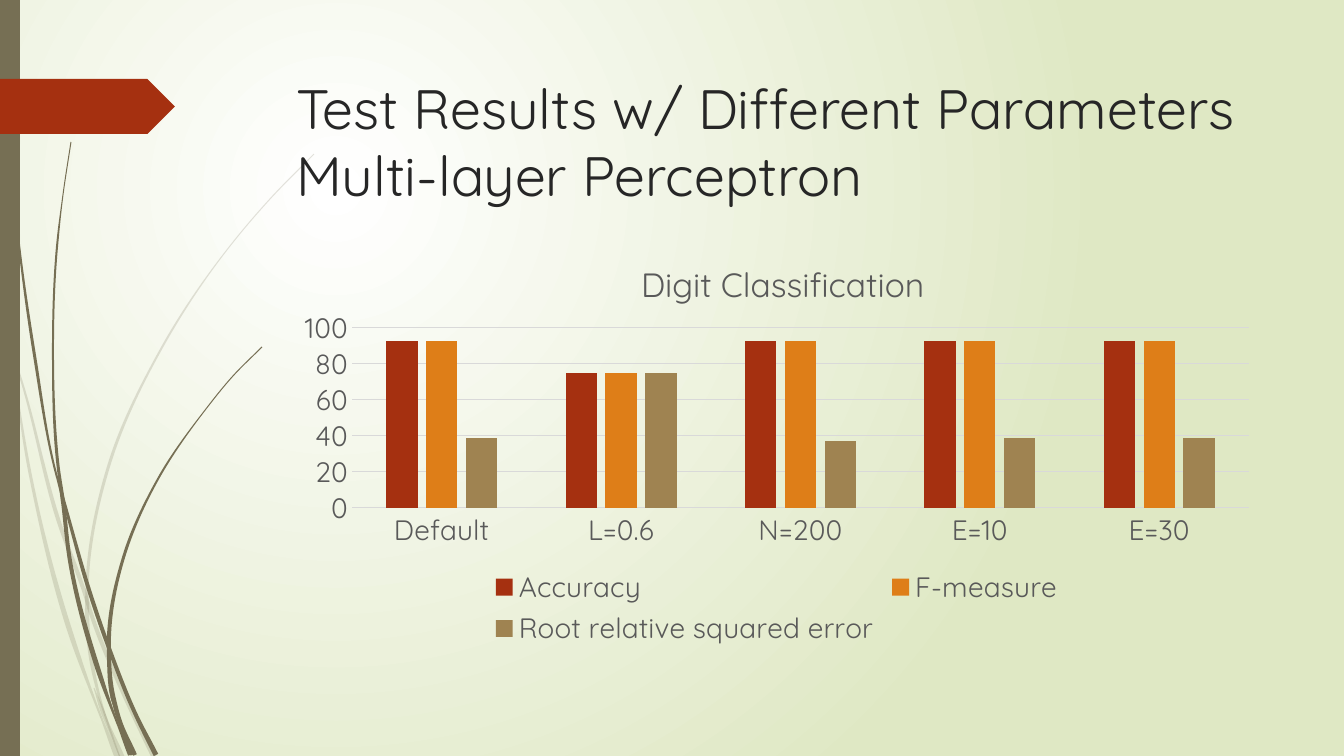
from dataclasses import dataclass
from itertools import pairwise
from math import hypot

from lxml.etree import SubElement
from pptx import Presentation
from pptx.chart.data import CategoryChartData
from pptx.dml.color import RGBColor
from pptx.enum.chart import XL_CHART_TYPE, XL_LEGEND_POSITION, XL_TICK_MARK
from pptx.enum.shapes import MSO_SHAPE
from pptx.enum.text import MSO_ANCHOR, MSO_AUTO_SIZE, PP_ALIGN
from pptx.oxml import parse_xml
from pptx.oxml.ns import nsdecls, qn
from pptx.util import Pt

EMU_PER_PX = 12192000 / 1344


@dataclass(frozen=True)
class Theme:
    font: str = "Quicksand"
    title_size: float = 39.6
    chart_title_size: float = 24
    label_size: float = 20
    title: str = "262626"
    label: str = "595959"
    grid: str = "D9D9D9"
    stem: str = "766F54"
    accent: str = "A53010"
    series: tuple = ("A53010", "DE7E18", "9F8351")
    background: tuple = ("FFFFFF", "DFE8C4")


def px(n):
    return round(n * EMU_PER_PX)


def rgb(value):
    return RGBColor.from_string(value)


def directions(points):
    steps = [(b[0] - a[0], b[1] - a[1]) for a, b in pairwise(points)]
    steps = [steps[0], *steps, steps[-1]]
    result = []
    for (ax, ay), (bx, by) in pairwise(steps):
        la, lb = hypot(ax, ay), hypot(bx, by)
        dx, dy = ax / la * lb + bx / lb * la, ay / la * lb + by / lb * la
        length = hypot(dx, dy)
        result.append((dx / length, dy / length))
    return result


def curve_handles(a, b, da, db):
    reach = hypot(b[0] - a[0], b[1] - a[1]) / 3
    return ((a[0] + da[0] * reach, a[1] + da[1] * reach),
            (b[0] - db[0] * reach, b[1] - db[1] * reach))


class SlideBuilder:
    def __init__(self, prs, theme):
        self.theme = theme
        self.slide = prs.slides.add_slide(prs.slide_layouts[5])
        self.shapes = self.slide.shapes

    def background(self):
        fill = self.slide.background.fill
        fill.gradient()
        for stop, color in zip(fill.gradient_stops, self.theme.background):
            stop.color.rgb = rgb(color)
        grad = self.slide.element.find(".//" + qn("a:gradFill"))
        grad.replace(grad.find(qn("a:lin")), parse_xml(
            f'<a:path {nsdecls("a")} path="circle">'
            '<a:fillToRect l="50000" t="50000" r="100000" b="100000"/></a:path>'))

    def paint(self, sp, color, opacity=100):
        sp.shadow.inherit = False
        sp.fill.solid()
        sp.fill.fore_color.rgb = rgb(color)
        sp.line.fill.background()
        if opacity < 100:
            node = sp.element.spPr.find(".//" + qn("a:srgbClr"))
            SubElement(node, qn("a:alpha"), val=str(opacity * 1000))

    def shape(self, kind, box, color):
        self.paint(self.shapes.add_shape(kind, *map(px, box)), color)

    def stem(self, points, cuts, opacity):
        dirs = directions(points)
        left, right = ([(x + side * dy * w / 2, y - side * dx * w / 2)
                        for (x, y, w), (dx, dy) in zip(points, dirs)]
                       for side in (1, -1))
        for first, last in pairwise((0, *cuts, len(points) - 1)):
            part = slice(first, last + 1)
            back = [(-dx, -dy) for dx, dy in dirs[part]][::-1]
            sides = ((left[part], dirs[part]), (right[part][::-1], back))
            self.stem_piece(sides, opacity)

    def stem_piece(self, sides, opacity):
        outline, curves = [], []
        for edge, dirs in sides:
            outline += edge
            curves.append(None)
            curves += [curve_handles(a, b, da, db) for (a, b), (da, db)
                       in zip(pairwise(edge), pairwise(dirs))]
        start, *rest = [(px(x), px(y)) for x, y in outline]
        fb = self.shapes.build_freeform(*start, scale=1.0)
        fb.add_line_segments(rest, close=True)
        sp = fb.convert_to_shape()
        lines = list(sp.element.iter(qn("a:lnTo")))
        for line, handles in zip(lines, curves[1:]):
            if handles:
                line.tag = qn("a:cubicBezTo")
                for i, (x, y) in enumerate(handles):
                    line.insert(i, parse_xml(
                        f'<a:pt {nsdecls("a")} x="{px(x) - sp.left}" y="{px(y) - sp.top}"/>'))
        self.paint(sp, self.theme.stem, opacity)

    def style(self, font, size, color):
        font.name = self.theme.font
        font.size = Pt(size)
        font.bold = False
        font.color.rgb = rgb(color)

    def title(self, text, box):
        sp = self.shapes.title
        sp.left, sp.top, sp.width, sp.height = map(px, box)
        tf = sp.text_frame
        tf.text = text
        tf.word_wrap = True
        tf.auto_size = MSO_AUTO_SIZE.NONE
        tf.vertical_anchor = MSO_ANCHOR.TOP
        p = tf.paragraphs[0]
        p.alignment = PP_ALIGN.LEFT
        p.line_spacing = 1.0
        for r in p.runs:
            self.style(r.font, self.theme.title_size, self.theme.title)
        self.shapes.element.append(sp.element)

    def column_chart(self, title, categories, series, box, plot_box, title_at):
        theme = self.theme
        data = CategoryChartData()
        data.categories = categories
        for name, values in series.items():
            data.add_series(name, values)
        chart = self.shapes.add_chart(
            XL_CHART_TYPE.COLUMN_CLUSTERED, *map(px, box), data).chart
        self.style(chart.font, theme.label_size, theme.label)
        chart.has_title = True
        tf = chart.chart_title.text_frame
        tf.text = title
        self.style(tf.paragraphs[0].runs[0].font, theme.chart_title_size, theme.label)
        chart.chart_title.include_in_layout = False
        chart.has_legend = True
        chart.legend.position = XL_LEGEND_POSITION.BOTTOM
        chart.legend.include_in_layout = False
        self.style(chart.legend.font, theme.label_size, theme.label)
        plot = chart.plots[0]
        plot.gap_width, plot.overlap, plot.vary_by_categories = 219, -27, False
        for ser, color in zip(plot.series, theme.series):
            ser.format.fill.solid()
            ser.format.fill.fore_color.rgb = rgb(color)
        for axis in (chart.category_axis, chart.value_axis):
            axis.major_tick_mark = axis.minor_tick_mark = XL_TICK_MARK.NONE
            self.style(axis.tick_labels.font, theme.label_size, theme.label)
        values = chart.value_axis
        values.minimum_scale, values.maximum_scale, values.major_unit = 0, 100, 20
        values.format.line.fill.background()
        for line in (chart.category_axis.format.line, values.major_gridlines.format.line):
            line.color.rgb = rgb(theme.grid)
            line.width = Pt(0.75)
        self.place(chart.element.find(".//" + qn("c:plotArea")), 0, box, plot_box)
        self.place(chart.element.find(".//" + qn("c:title")), 1, box, title_at)

    def place(self, part, index, box, target):
        left, top, width, height = box
        shares = [(target[0] - left) / width, (target[1] - top) / height]
        shares += [n / total for n, total in zip(target[2:], (width, height))]
        sizes = "".join(f'<c:{tag} val="{n:.4f}"/>' for tag, n in zip("xywh", shares))
        inner = '<c:layoutTarget val="inner"/>' if len(target) == 4 else ""
        for old in part.findall(qn("c:layout")):
            part.remove(old)
        part.insert(index, parse_xml(
            f'<c:layout {nsdecls("c")}><c:manualLayout>{inner}<c:xMode val="edge"/>'
            f'<c:yMode val="edge"/>{sizes}</c:manualLayout></c:layout>'))


PALE_STEMS = (
    (((0, 293, 4), (11, 350, 3), (16, 364, 2), (60, 525, 4), (86, 597, 4),
      (89, 607, 4), (126, 699, 4), (154, 757, 5)), (2, 4)),
    (((11, 353, 1), (30, 473, 3), (68, 625, 5), (101, 717, 2), (117, 757, 5)), (3,)),
    (((94, 688, 1), (102, 710, 4), (120, 757, 1)), ()),
    (((314, 154, 1), (270, 199, 1), (230, 246, 1), (160, 351, 2), (109, 465, 3),
      (87, 589, 3), (87, 609, 4), (90, 651, 4), (105, 715, 2), (122, 757, 5)),
     (5, 6, 8)),
)
DARK_STEMS = (
    (((4, 0, 1), (8, 111, 1), (18, 235, 2), (35, 358, 3), (57, 477, 2), (63, 498, 3),
      (91, 596, 4), (109, 648, 4), (135, 713, 4), (156, 755, 5)), (4, 7)),
    (((71, 142, 1), (63, 195, 1), (57, 247, 2), (53, 352, 2), (58, 465, 3),
      (63, 502, 4), (70, 561, 4), (96, 663, 5), (118, 725, 2), (130, 755, 4)),
     (4, 5, 8)),
    (((262, 347, 1), (233, 376, 1), (206, 409, 1), (158, 479, 2), (124, 556, 3),
      (109, 637, 4), (109, 655, 4), (113, 697, 5), (122, 724, 2), (135, 755, 4)),
     (5, 6, 8)),
    (((111, 697, 1), (118, 717, 4), (132, 755, 3)), ()),
)


def main():
    prs = Presentation()
    prs.slide_width, prs.slide_height = px(1344), px(756)
    theme = Theme()
    s = SlideBuilder(prs, theme)
    s.background()
    for stems, opacity in ((PALE_STEMS, 20), (DARK_STEMS, 100)):
        for points, cuts in stems:
            s.stem(points, cuts, opacity)
    s.shape(MSO_SHAPE.RECTANGLE, (0, 0, 20, 756), theme.stem)
    s.shape(MSO_SHAPE.PENTAGON, (0, 79, 175, 55), theme.accent)
    s.column_chart(
        "Digit Classification", ("Default", "L=0.6", "N=200", "E=10", "E=30"),
        {"Accuracy": (93, 75, 93, 93, 93),
         "F-measure": (93, 75, 93, 93, 93),
         "Root relative squared error": (39, 75, 37, 39, 39)},
        (285, 235, 983, 417), (352, 328, 897, 180), (635, 254))
    s.title("Test Results w/ Different Parameters\vMulti-layer Perceptron",
            (286, 69, 983, 141))
    prs.save("out.pptx")


if __name__ == "__main__":
    main()
